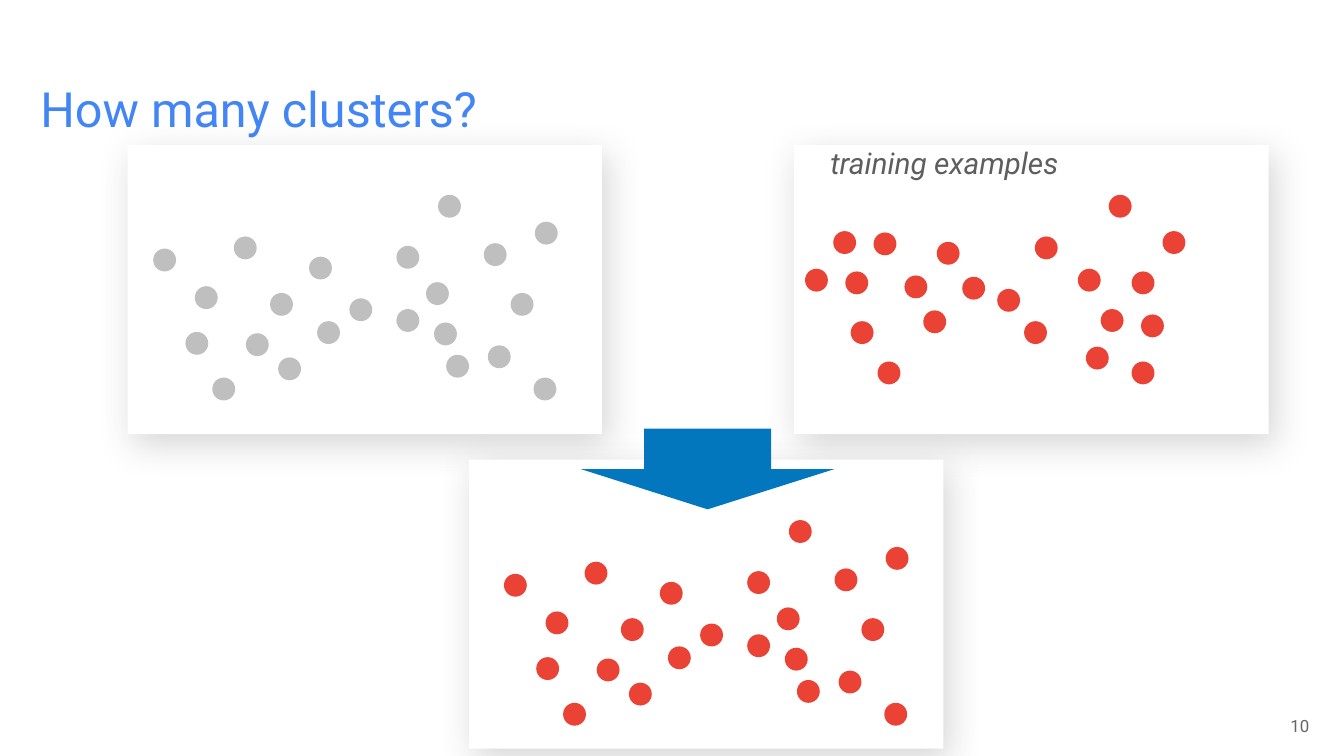
"""Build the slide that asks how many clusters some training examples form."""
from lxml.etree import SubElement
from pptx import Presentation
from pptx.dml.color import RGBColor
from pptx.enum.shapes import MSO_SHAPE as Shape
from pptx.enum.text import MSO_ANCHOR as Anchor, PP_ALIGN as Align
from pptx.oxml.ns import qn
from pptx.util import Inches, Pt

WHITE = RGBColor(0xFF, 0xFF, 0xFF)
BLUE = RGBColor(0x42, 0x85, 0xF4)
ARROW_BLUE = RGBColor(0x02, 0x77, 0xBD)
RED = RGBColor(0xEA, 0x43, 0x35)
LIGHT_GRAY = RGBColor(0xBF, 0xBF, 0xBF)
TEXT_GRAY = RGBColor(0x5E, 0x5E, 0x5E)
NUMBER_GRAY = RGBColor(0x66, 0x66, 0x66)
SHADOW_GRAY = RGBColor(0x43, 0x43, 0x43)

FONT = "Roboto"
SLIDE_WIDTH = Inches(10)
SLIDE_HEIGHT = SLIDE_WIDTH * 9 // 16
CELL = SLIDE_WIDTH // 1000
PANEL_SIZE = (353, 215)
DOT_SIZE = (17, 17)

ARCH = [
    (116, 46), (87, 73), (122, 94), (146, 77), (181, 38), (181, 85),
    (203, 65), (218, 119), (60, 31), (69, 103), (212, 0), (249, 112),
    (246, 36), (31, 68), (93, 121), (266, 73), (209, 95), (283, 136),
    (24, 102), (44, 136), (0, 40), (284, 20),
]
TRAINING = [
    (30, 57), (51, 28), (88, 86), (34, 94), (117, 61), (98, 35),
    (209, 113), (163, 94), (171, 31), (226, 0), (54, 124), (203, 55),
    (21, 27), (250, 89), (243, 57), (143, 70), (74, 60), (220, 85),
    (0, 55), (266, 27), (243, 124),
]


def grid(*cells):
    """Turn grid cells into slide lengths."""
    return [cell * CELL for cell in cells]


def add_figure(shapes, kind, place, size, color):
    """Add a plain filled shape without a line or shadow."""
    figure = shapes.add_shape(kind, *grid(*place, *size))
    figure.shadow.inherit = False
    figure.fill.solid()
    figure.fill.fore_color.rgb = color
    figure.line.fill.background()
    return figure


def add_panel(shapes, place):
    """Add a white panel with a soft shadow to its lower right."""
    panel = add_figure(shapes, Shape.RECTANGLE, place, PANEL_SIZE, WHITE)
    effects = panel.element.spPr.find(qn("a:effectLst"))
    shadow = SubElement(
        effects, qn("a:outerShdw"), blurRad=str(Pt(19.1)), dist=str(Pt(6)),
        dir=str(62 * 60000), algn="bl", rotWithShape="0")
    color = SubElement(shadow, qn("a:srgbClr"), val=str(SHADOW_GRAY))
    SubElement(color, qn("a:alpha"), val="21000")


def add_dots(shapes, origin, points, color):
    """Scatter dots from the top left corner of their cloud."""
    left, top = origin
    for column, row in points:
        add_figure(shapes, Shape.OVAL, (left + column, top + row), DOT_SIZE, color)


def write(box, text, size, color, align=Align.LEFT, italic=False):
    """Fill a text frame with one formatted paragraph."""
    para = box.text_frame.paragraphs[0]
    para.text = text
    para.alignment = align
    para.font.name = FONT
    para.font.size = Pt(size)
    para.font.italic = italic
    para.font.color.rgb = color


def set_frame(box, wrap, anchor, vertical_inset):
    """Set the wrapping, anchor and insets of a text frame."""
    frame = box.text_frame
    frame.word_wrap = wrap
    frame.vertical_anchor = anchor
    frame.margin_left = frame.margin_right = Inches(0.1)
    frame.margin_top = frame.margin_bottom = Inches(vertical_inset)


def add_title(page, text):
    """Place and format the title placeholder."""
    title = page.shapes.title
    title.left, title.top, title.width, title.height = grid(20, 49, 960, 63)
    set_frame(title, True, Anchor.MIDDLE, 0.1)
    write(title, text, 26, BLUE)


def add_label(shapes, text):
    """Add the italic label of the training panel."""
    label = shapes.add_textbox(*grid(608, 103, 196, 37))
    set_frame(label, False, Anchor.TOP, 0.05)
    write(label, text, 16, TEXT_GRAY, italic=True)


def add_page_number(shapes, text):
    """Add the page number at the lower right."""
    number = shapes.add_textbox(*grid(924, 525, 60, 30))
    set_frame(number, True, Anchor.MIDDLE, 0.1)
    write(number, text, 9, NUMBER_GRAY, align=Align.RIGHT)


def main():
    """Build and save the deck."""
    deck = Presentation()
    deck.slide_width, deck.slide_height = SLIDE_WIDTH, SLIDE_HEIGHT
    page = deck.slides.add_slide(deck.slide_layouts[5])
    add_panel(page.shapes, (95, 108))
    add_title(page, "How many clusters?")

    unlabeled, training, result = (
        page.shapes.add_group_shape().shapes for _ in range(3))
    add_dots(unlabeled, (114, 145), ARCH, LIGHT_GRAY)

    add_panel(training, (591, 108))
    add_dots(training, (599, 145), TRAINING, RED)
    add_label(training, "training examples")

    add_panel(result, (349, 342))
    add_figure(result, Shape.DOWN_ARROW, (432, 319), (189, 60), ARROW_BLUE)
    add_dots(result, (375, 387), ARCH, RED)

    add_page_number(page.shapes, "10")
    deck.save("out.pptx")


if __name__ == "__main__":
    main()
